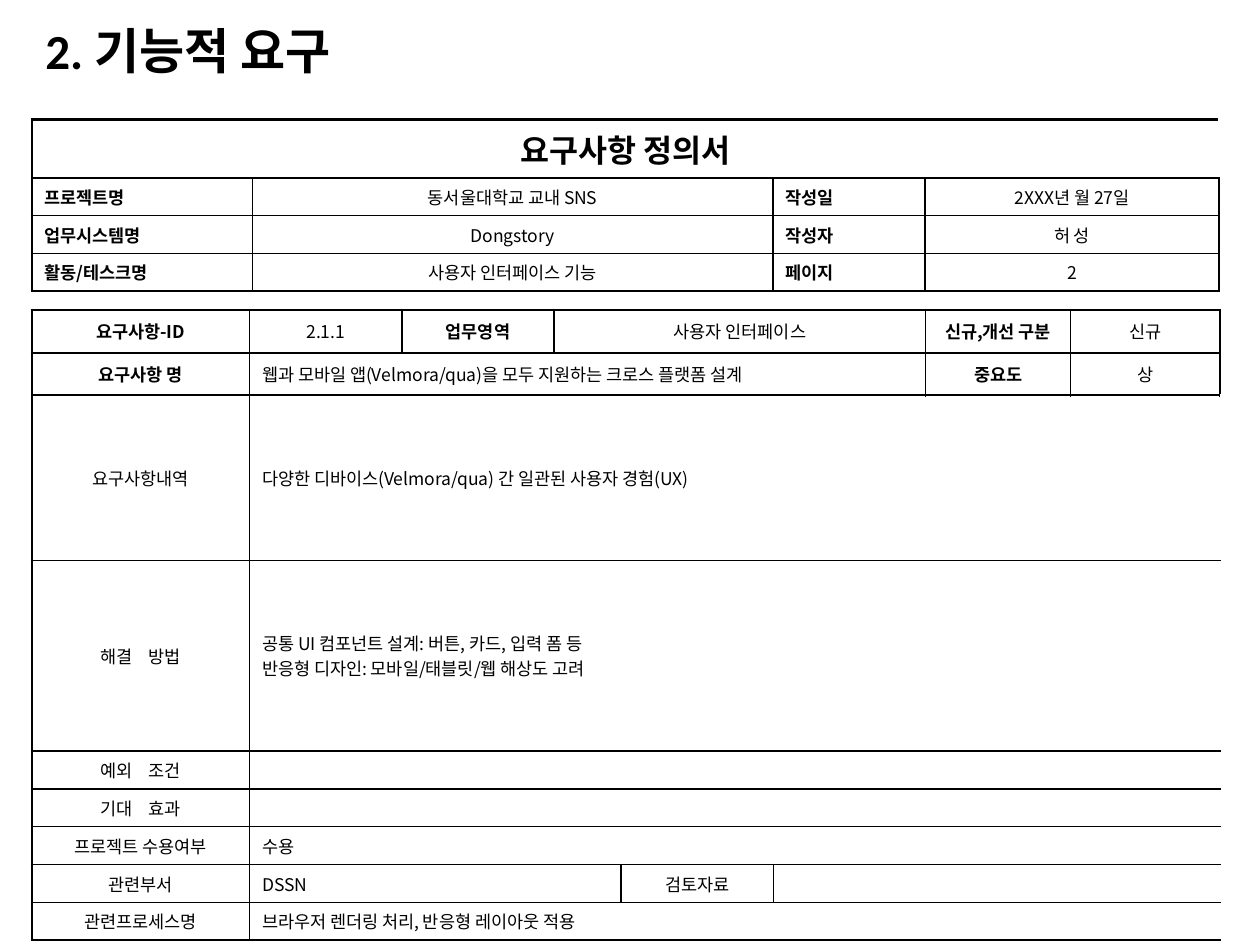
from pptx import Presentation
from pptx.dml.color import RGBColor
from pptx.enum.text import MSO_ANCHOR, MSO_AUTO_SIZE, PP_ALIGN
from pptx.oxml.ns import qn
from pptx.util import Cm, Pt
from lxml.etree import SubElement

KOREAN = "Noto Sans CJK KR"
LEFT, CENTER, JUSTIFY = PP_ALIGN.LEFT, PP_ALIGN.CENTER, PP_ALIGN.JUSTIFY
TOP, MIDDLE = MSO_ANCHOR.TOP, MSO_ANCHOR.MIDDLE


def write(frame, text, size=10, bold=False, align=LEFT, font=KOREAN, color="000000", gap=0):
    for index, line in enumerate(text.split("\n")):
        paragraph = frame.paragraphs[0] if index == 0 else frame.add_paragraph()
        paragraph.alignment = align
        if not line:
            SubElement(paragraph._p, qn("a:endParaRPr"), sz=str(size * 100))
            continue
        pieces = line.partition(" ") if gap else [line]
        for piece in pieces:
            span = paragraph.add_run()
            span.text = piece
            span.font.size = Pt(size)
            span.font.bold = bold
            span.font.name = font
            span.font.color.rgb = RGBColor.from_string(color)
            properties = span.font._element
            SubElement(properties, qn("a:ea"), typeface=KOREAN)
            if gap and piece == " ":
                properties.set("spc", str(gap * 100))


def draw_border(cell, side, width, color="000000"):
    line = SubElement(cell._tc.get_or_add_tcPr(), qn(f"a:ln{side}"), w=str(Pt(width)))
    fill = SubElement(line, qn("a:solidFill"))
    SubElement(fill, qn("a:srgbClr"), val=color)


deck = Presentation()
deck.slide_width = Cm(25.4)
deck.slide_height = Cm(19.05)
page = deck.slides.add_slide(deck.slide_layouts[5])

title = page.shapes.title
title.left, title.top, title.width, title.height = Cm(0.66), Cm(0.53), Cm(13.61), Cm(1.12)
title.text_frame.auto_size = MSO_AUTO_SIZE.NONE
title.text_frame.vertical_anchor = MIDDLE
write(title.text_frame, "2. 기능적 요구", size=28, bold=True, font="Calibri")
title.text_frame.paragraphs[0].line_spacing = 0.9

label = dict(bold=True, align=CENTER)
value = dict(align=CENTER)
spaced = dict(align=CENTER, gap=7)
side_label = dict(bold=True, align=JUSTIFY)

requirement = [
    [(0, 0, "요구사항-ID", label), (1, 1, "2.1.1", value), (2, 2, "업무영역", label),
     (3, 5, "사용자 인터페이스", value), (6, 6, "신규,개선 구분", label), (7, 7, "신규", value)],
    [(0, 0, "요구사항 명", label),
     (1, 5, "웹과 모바일 앱(Velmora/qua)을 모두 지원하는 크로스 플랫폼 설계", {}),
     (6, 6, "중요도", label), (7, 7, "상", value)],
    [(0, 0, "요구사항내역", value),
     (1, 7, "다양한 디바이스(Velmora/qua) 간 일관된 사용자 경험(UX)", {})],
    [(0, 0, "해결 방법", spaced),
     (1, 7, "공통 UI 컴포넌트 설계: 버튼, 카드, 입력 폼 등\n"
            "반응형 디자인: 모바일/태블릿/웹 해상도 고려", {})],
    [(0, 0, "예외 조건", spaced), (1, 7, "", {})],
    [(0, 0, "기대 효과", spaced), (1, 7, "", {})],
    [(0, 0, "프로젝트 수용여부", value), (1, 7, "수용", {})],
    [(0, 0, "관련부서", value), (1, 3, "DSSN", {}), (4, 4, "검토자료", value), (5, 7, "", {})],
    [(0, 0, "관련프로세스명", value), (1, 7, "브라우저 렌더링 처리, 반응형 레이아웃 적용", {})],
]

document = [[(0, 3, "요구사항 정의서", dict(size=18, bold=True, align=CENTER))]]
for left_name, left_value, right_name, right_value in [
    ("프로젝트명", "동서울대학교 교내 SNS", "작성일", "2XXX년 월 27일"),
    ("업무시스템명", "Dongstory", "작성자", "허 성"),
    ("활동/테스크명", "사용자 인터페이스 기능", "페이지", "2"),
]:
    document.append([(0, 0, left_name, side_label), (1, 1, left_value, value),
                     (2, 2, right_name, side_label), (3, 3, right_value, value)])

tables = [
    (6.25, [4.39, 3.07, 3.07, 1.35, 3.07, 3.07, 2.92, 3.02],
     [0.86, 0.86, 3.33, 3.84] + [0.69] * 5, requirement, {0, 1, 2, 9}, MIDDLE),
    (2.41, [4.45, 10.49, 3.07, 5.92], [1.17] + [0.69] * 3, document, {0, 4}, TOP),
]

for top, widths, heights, rows, heavy_lines, anchor in tables:
    frame = page.shapes.add_table(len(heights), len(widths), Cm(0.64), Cm(top),
                                  Cm(sum(widths)), Cm(sum(heights)))
    table = frame.table
    table.first_row = table.horz_banding = False
    for column, width in zip(table.columns, widths):
        column.width = Cm(width)
    for row, height in zip(table.rows, heights):
        row.height = Cm(height)
    for row, entries in enumerate(rows):
        for first, last, text, style in entries:
            cell = table.cell(row, first)
            if last > first:
                cell.merge(table.cell(row, last))
            cell.vertical_anchor = MIDDLE if row == 0 else anchor
            write(cell.text_frame, text, **style)
            for column in range(first, last + 1):
                part = table.cell(row, column)
                if column == first:
                    draw_border(part, "L", 1.5 if column == 0 else 1)
                if column == last:
                    draw_border(part, "R", 1.5 if column == len(widths) - 1 else 1)
                draw_border(part, "T", 1.5 if row in heavy_lines else 1)
                draw_border(part, "B", 1.5 if row + 1 in heavy_lines else 1)
                part.fill.background()

deck.save("out.pptx")
